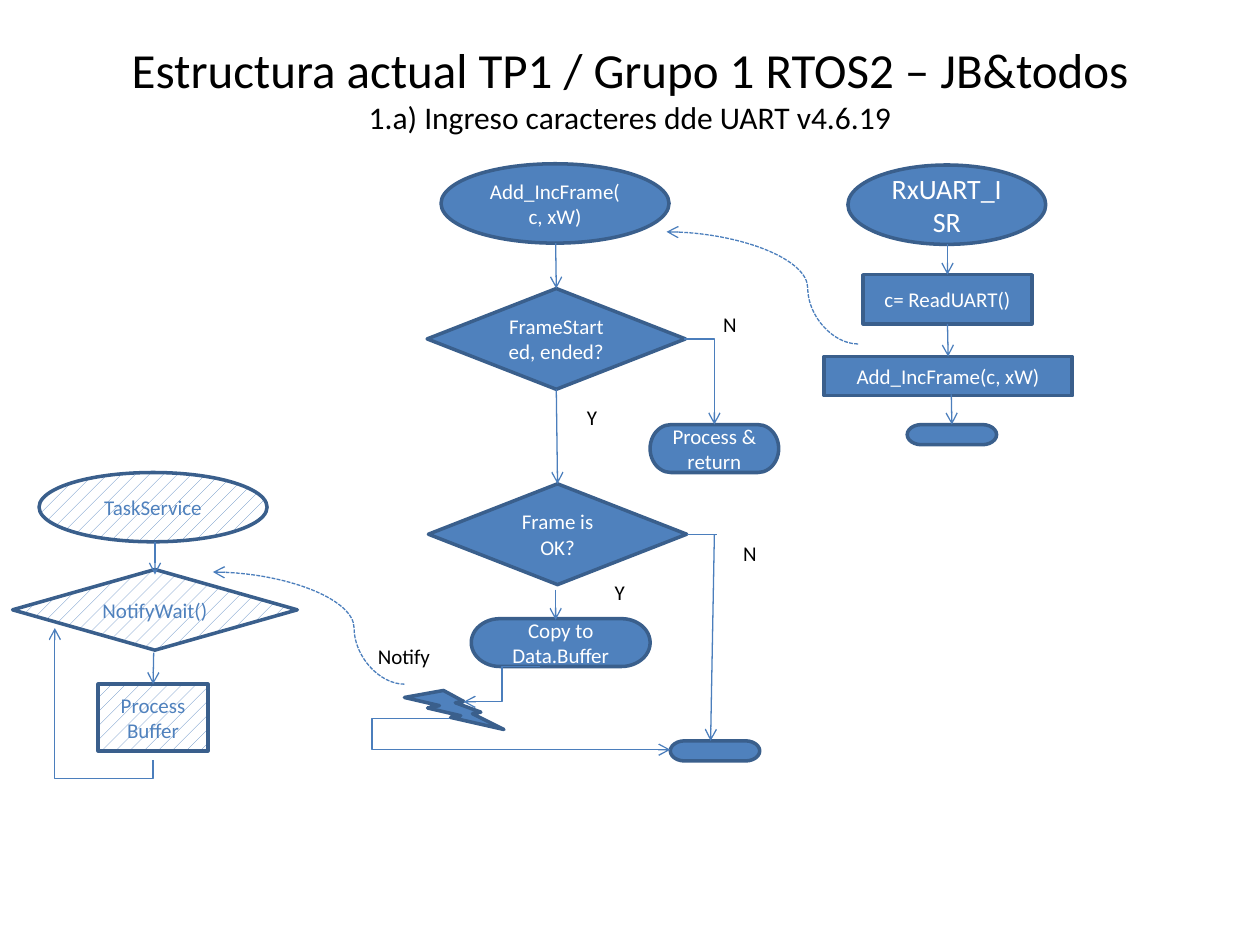
from dataclasses import dataclass
from typing import Optional

import pptx
import pptx.dml.color
import pptx.enum.dml
import pptx.enum.shapes
import pptx.enum.text
import pptx.oxml
import pptx.oxml.ns
import pptx.util

Inches, Pt = pptx.util.Inches, pptx.util.Pt
SHAPE = pptx.enum.shapes.MSO_SHAPE
CONN = pptx.enum.shapes.MSO_CONNECTOR
ALIGN = pptx.enum.text.PP_ALIGN
ANCHOR = pptx.enum.text.MSO_ANCHOR
AUTO = pptx.enum.text.MSO_AUTO_SIZE
qn = pptx.oxml.ns.qn

BLUE, OUTLINE, WIRE = "4F81BD", "3A5F8C", "4B7EBC"
WHITE, BLACK = "FFFFFF", "000000"
TOP, BOTTOM = 0, 2

OVAL, STEP = SHAPE.FLOWCHART_CONNECTOR, SHAPE.FLOWCHART_PROCESS
DECISION, END = SHAPE.FLOWCHART_DECISION, SHAPE.FLOWCHART_TERMINATOR


@dataclass
class Node:
    kind: int
    x: float
    y: float
    w: float
    h: float
    text: str = ""
    size: int = 12
    hatched: bool = False


@dataclass
class Link:
    start: tuple[float, float]
    end: tuple[float, float]
    kind: int = CONN.STRAIGHT
    preset: str = ""
    adj: Optional[int] = None  # bend position, thousandths of a percent
    turn: int = 0              # clockwise degrees
    dashed: bool = False
    arrow: bool = True
    source: str = ""           # node joined at its bottom
    target: str = ""           # node joined at its top


NODES = {
    # UART interrupt
    "isr": Node(OVAL, 6.73, 1.31, 1.57, 0.63, "RxUART_ISR", 16),
    "read": Node(STEP, 6.85, 2.18, 1.34, 0.39, "c= ReadUART()"),
    "call": Node(STEP, 6.54, 2.83, 1.97, 0.31, "Add_IncFrame(c, xW)"),
    "isr end": Node(END, 7.2, 3.37, 0.71, 0.16),
    # Frame assembly
    "add": Node(OVAL, 3.5, 1.3, 1.81, 0.63, "Add_IncFrame(c, xW)"),
    "started": Node(DECISION, 3.39, 2.29, 2.05, 0.8, "FrameStarted, ended?"),
    "return": Node(END, 5.16, 3.37, 1.02, 0.38, "Process & return"),
    "frame ok": Node(DECISION, 3.4, 3.84, 2.05, 0.8, "Frame is OK?"),
    "copy": Node(END, 3.74, 4.91, 1.42, 0.38, "Copy to Data.Buffer"),
    "add end": Node(END, 5.32, 5.88, 0.71, 0.16),
    "bolt": Node(SHAPE.LIGHTNING_BOLT, 3.21, 5.48, 0.79, 0.31),
    # Service task
    "task": Node(OVAL, 0.31, 3.75, 1.81, 0.55, "TaskService", hatched=True),
    "process": Node(SHAPE.RECTANGLE, 0.78, 5.43, 0.87, 0.53,
                    "Process Buffer", hatched=True),
    "wait": Node(DECISION, 0.1, 4.52, 2.26, 0.64, "NotifyWait()",
                 hatched=True),
}

LINKS = [
    # UART interrupt
    Link((7.52, 1.94), (7.52, 2.18), target="read"),
    Link((7.52, 2.57), (7.52, 2.83), source="read", target="call"),
    Link((7.55, 3.13), (7.55, 3.37), target="isr end"),
    # Frame assembly
    Link((4.41, 1.93), (4.41, 2.29), target="started"),
    Link((4.41, 3.09), (4.42, 3.84), source="started", target="frame ok"),
    Link((4.41, 4.68), (4.41, 4.92)),
    Link((5.43, 2.69), (5.67, 3.37), CONN.ELBOW, "bentConnector2"),
    Link((5.45, 4.24), (5.69, 4.24), arrow=False),
    Link((5.67, 4.24), (5.64, 5.88)),
    Link((4.29, 5.29), (3.68, 5.57), CONN.ELBOW),
    Link((3.57, 5.7), (5.32, 5.95), CONN.ELBOW, adj=-35300),
    # Service task
    Link((1.23, 4.3), (1.23, 4.56)),
    Link((1.22, 5.18), (1.22, 5.43), target="process"),
    Link((0.3, 5.9), (1.35, 5.12), CONN.ELBOW, adj=-13900, turn=270),
    # Calls between the tasks
    Link((6.81, 2.73), (5.29, 1.84), CONN.CURVE, adj=26300, dashed=True),
    Link((3.21, 5.43), (1.69, 4.54), CONN.CURVE, adj=26300, dashed=True),
]

LABELS = [
    ("N", 5.64, 2.42, 0.22), ("N", 5.8, 4.24, 0.22),
    ("Y", 4.78, 4.55, 0.22), ("Y", 4.56, 3.16, 0.22),
    ("Notify", 2.9, 5.06, 0.7),
]


def rgb(color: str):
    return pptx.dml.color.RGBColor.from_string(color)


def write(p, text: str, *, size=12, color=BLACK, align=None):
    """Append a formatted run to a paragraph."""
    r = p.add_run()
    r.text = text
    r.font.name = "Calibri"
    r.font.size = Pt(size)
    r.font.color.rgb = rgb(color)
    if align is not None:
        p.alignment = align


def add_node(s, n: Node):
    sp = s.shapes.add_shape(n.kind, *map(Inches, (n.x, n.y, n.w, n.h)))
    sp.shadow.inherit = False
    if n.hatched:
        sp.fill.patterned()
        sp.fill.pattern = pptx.enum.dml.MSO_PATTERN.PERCENT_10
        sp.fill.fore_color.rgb = rgb(BLUE)
        sp.fill.back_color.rgb = rgb(WHITE)
    else:
        sp.fill.solid()
        sp.fill.fore_color.rgb = rgb(BLUE)
    sp.line.color.rgb = rgb(OUTLINE)
    sp.line.width = Pt(2)
    if n.text:
        tf = sp.text_frame
        tf.word_wrap = True
        tf.vertical_anchor = ANCHOR.MIDDLE
        write(tf.paragraphs[0], n.text, size=n.size, align=ALIGN.CENTER,
              color=BLUE if n.hatched else WHITE)
    return sp


def add_link(s, link: Link, nodes: dict):
    c = s.shapes.add_connector(link.kind, *map(Inches, link.start + link.end))
    if link.source:
        c.begin_connect(nodes[link.source], BOTTOM)
    if link.target:
        c.end_connect(nodes[link.target], TOP)
    c.line.color.rgb = rgb(WIRE)
    c.line.width = Pt(0.75)
    if link.dashed:
        c.line.dash_style = pptx.enum.dml.MSO_LINE.SQUARE_DOT

    # Arrowhead, shadow, bend and rotation
    props = c._element.spPr
    if link.arrow:
        tail = pptx.oxml.parse_xml(
            f'<a:tailEnd {pptx.oxml.ns.nsdecls("a")} type="arrow"/>')
        c.line._get_or_add_ln().append(tail)
    props.append(props.makeelement(qn("a:effectLst"), {}))
    geom = props.find(qn("a:prstGeom"))
    if link.preset:
        geom.set("prst", link.preset)
    if link.adj is not None:
        guides = geom.find(qn("a:avLst"))
        guides.append(guides.makeelement(
            qn("a:gd"), {"name": "adj1", "fmla": f"val {link.adj}"}))
    if link.turn:
        props.find(qn("a:xfrm")).set("rot", str(link.turn * 60000))


def add_label(s, text: str, x: float, y: float, w: float):
    tf = s.shapes.add_textbox(*map(Inches, (x, y, w, 0.3))).text_frame
    tf.word_wrap = False
    tf.auto_size = AUTO.SHAPE_TO_FIT_TEXT
    write(tf.paragraphs[0], text)


def add_title(s):
    sp = s.shapes.title
    sp.left, sp.top, sp.width, sp.height = map(
        Inches, (0.75, -0.11, 8.5, 1.61))
    tf = sp.text_frame
    tf.auto_size = AUTO.NONE
    tf.vertical_anchor = ANCHOR.MIDDLE
    p = tf.paragraphs[0]
    write(p, "Estructura actual TP1 / Grupo 1 RTOS2 – JB&todos", size=28,
          align=ALIGN.CENTER)
    p.add_line_break()
    write(p, "1.a) Ingreso caracteres dde UART v4.6.19", size=18)


def main():
    prs = pptx.Presentation()
    prs.slide_width, prs.slide_height = Inches(10), Inches(7.5)
    s = prs.slides.add_slide(prs.slide_layouts[5])
    add_title(s)
    nodes = {name: add_node(s, n) for name, n in NODES.items()}
    for link in LINKS:
        add_link(s, link, nodes)
    for label in LABELS:
        add_label(s, *label)
    prs.save("out.pptx")


if __name__ == "__main__":
    main()
